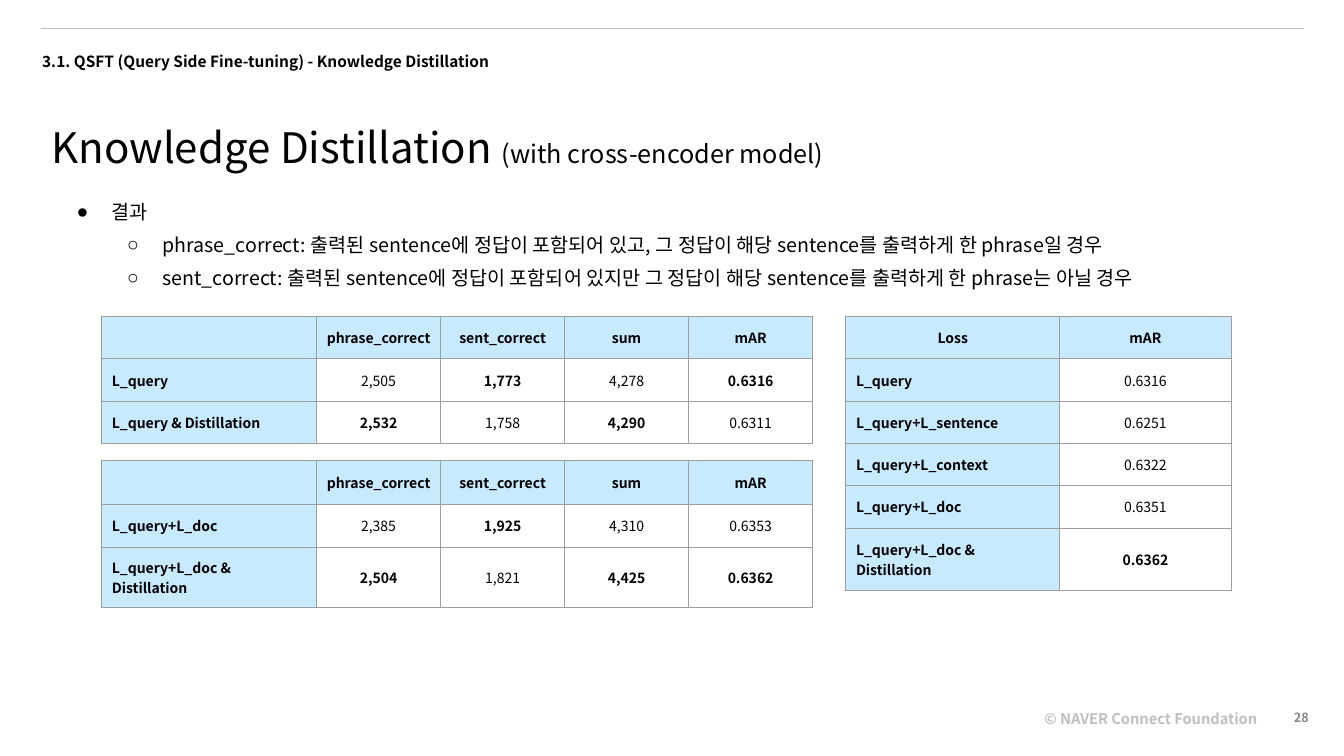
import lxml.etree
import pptx
import pptx.dml.color
import pptx.enum.shapes
import pptx.enum.text
import pptx.oxml.ns
import pptx.util

Inches = pptx.util.Inches
RGBColor = pptx.dml.color.RGBColor
PP_ALIGN = pptx.enum.text.PP_ALIGN
ANCHOR = pptx.enum.text.MSO_ANCHOR
qn = pptx.oxml.ns.qn

BLACK = RGBColor(0x00, 0x00, 0x00)
RULE_GRAY = RGBColor(0xBF, 0xBF, 0xBF)
NUMBER_GRAY = RGBColor(0x88, 0x88, 0x88)
BORDER_GRAY = RGBColor(0x9E, 0x9E, 0x9E)
HEADER_BLUE = RGBColor(0xC8, 0xEA, 0xFF)
FONT = "Noto Sans CJK KR"


def add_run(paragraph, text, size, color=BLACK, bold=False):
    run = paragraph.add_run()
    run.text = text
    for key, value in {"size": pptx.util.Pt(size), "bold": bold, "name": FONT}.items():
        setattr(run.font, key, value)
    run.font.color.rgb = color
    lxml.etree.SubElement(run.font._element, qn("a:ea"), typeface=FONT)


def set_frame(shape, box, inset=0.05, anchor=ANCHOR.TOP):
    shape.left, shape.top, shape.width, shape.height = [Inches(v) for v in box]
    frame = shape.text_frame
    settings = {
        "word_wrap": True,
        "auto_size": pptx.enum.text.MSO_AUTO_SIZE.NONE,
        "vertical_anchor": anchor,
        "margin_left": Inches(0.1),
        "margin_right": Inches(0.1),
        "margin_top": Inches(inset),
        "margin_bottom": Inches(inset),
    }
    for key, value in settings.items():
        setattr(frame, key, value)
    return frame


deck = pptx.Presentation()
deck.slide_width = Inches(13.33)
deck.slide_height = Inches(7.5)
slide = deck.slides.add_slide(deck.slide_layouts[1])

top_rule = slide.shapes.add_connector(
    pptx.enum.shapes.MSO_CONNECTOR.STRAIGHT,
    Inches(0.41), Inches(0.28), Inches(12.93), Inches(0.28))
top_rule.line.color.rgb = RULE_GRAY
top_rule.line.width = pptx.util.Pt(0.75)
lxml.etree.SubElement(top_rule._element.spPr, qn("a:effectLst"))

small_texts = [
    ("© NAVER Connect Foundation", (10.26, 6.98, 2.39, 0.28), 10.5, RULE_GRAY,
     PP_ALIGN.LEFT, 1.1, ANCHOR.TOP),
    ("28", (12.2, 6.92, 0.88, 0.4), 9, NUMBER_GRAY, PP_ALIGN.RIGHT, 1.0, ANCHOR.MIDDLE),
    ("3.1. QSFT (Query Side Fine-tuning) - Knowledge Distillation",
     (0.32, 0.3, 6.9, 0.29), 11, BLACK, PP_ALIGN.LEFT, 1.91, ANCHOR.TOP),
]
for text, box, size, color, align, spacing, anchor in small_texts:
    frame = set_frame(slide.shapes.add_textbox(0, 0, 0, 0), box, anchor=anchor)
    paragraph = frame.paragraphs[0]
    paragraph.alignment = align
    paragraph.line_spacing = spacing
    add_run(paragraph, text, size, color, True)

heading = set_frame(slide.shapes.title, (0.41, 0.97, 11.69, 0.61)).paragraphs[0]
heading.alignment = PP_ALIGN.LEFT
heading.line_spacing = 1.38
add_run(heading, "Knowledge Distillation ", 30)
add_run(heading, "(with cross-encoder model)", 18)

findings = [
    (0, "●", "결과"),
    (1, "○", "phrase_correct: 출력된 sentence에 정답이 포함되어 있고, 그 정답이 해당 sentence를 출력하게 한 phrase일 경우"),
    (1, "○", "sent_correct: 출력된 sentence에 정답이 포함되어 있지만 그 정답이 해당 sentence를 출력하게 한 phrase는 아닐 경우"),
]
body = set_frame(slide.placeholders[1], (0.51, 1.79, 12.26, 1.22), inset=0.1)
for index, (level, bullet, text) in enumerate(findings):
    paragraph = body.add_paragraph() if index else body.paragraphs[0]
    paragraph.level = level
    paragraph.line_spacing = 1.4
    paragraph.space_before = pptx.util.Pt(0)
    properties = paragraph._p.get_or_add_pPr()
    properties.set("marL", str(Inches(0.5 * (level + 1))))
    properties.set("indent", str(Inches(-0.35)))
    bullet_color = lxml.etree.SubElement(properties, qn("a:buClr"))
    lxml.etree.SubElement(bullet_color, qn("a:srgbClr"), val=str(BLACK))
    lxml.etree.SubElement(properties, qn("a:buChar"), char=bullet)
    add_run(paragraph, text, 14)

count_header = ["", "phrase_correct", "sent_correct", "sum", "mAR"]
count_widths = [2.13] + [1.23] * 4
results = [
    (1.01, 3.14, count_widths, [0.42] * 3, [
        count_header,
        ["L_query", "2,505", "1,773", "4,278", "0.6316"],
        ["L_query & Distillation", "2,532", "1,758", "4,290", "0.6311"],
    ]),
    (1.01, 4.57, count_widths, [0.43] * 3, [
        count_header,
        ["L_query+L_doc", "2,385", "1,925", "4,310", "0.6353"],
        ["L_query+L_doc & Distillation", "2,504", "1,821", "4,425", "0.6362"],
    ]),
    (8.39, 3.14, [2.12, 1.7], [0.42] * 5 + [0.62], [
        ["Loss", "mAR"],
        ["L_query", "0.6316"],
        ["L_query+L_sentence", "0.6251"],
        ["L_query+L_context", "0.6322"],
        ["L_query+L_doc", "0.6351"],
        ["L_query+L_doc & Distillation", "0.6362"],
    ]),
]
for left, top, widths, heights, rows in results:
    table = slide.shapes.add_table(
        len(rows), len(widths), Inches(left), Inches(top),
        Inches(sum(widths)), Inches(sum(heights))).table
    table.first_row = table.horz_banding = False
    for column, width in zip(table.columns, widths):
        column.width = Inches(width)
    for row, height in zip(table.rows, heights):
        row.height = Inches(height)
    best = [max(column[1:]) for column in zip(*rows)]
    for r, values in enumerate(rows):
        for c, text in enumerate(values):
            cell = table.cell(r, c)
            cell.vertical_anchor = ANCHOR.MIDDLE
            for side in ("left", "right", "top", "bottom"):
                setattr(cell, "margin_" + side, Inches(0.1))
            is_label = r == 0 or c == 0
            if is_label:
                cell.fill.solid()
                cell.fill.fore_color.rgb = HEADER_BLUE
            else:
                cell.fill.background()
            paragraph = cell.text_frame.paragraphs[0]
            paragraph.alignment = PP_ALIGN.LEFT if c == 0 and r else PP_ALIGN.CENTER
            if text:
                add_run(paragraph, text, 10, bold=is_label or text == best[c])
            else:
                lxml.etree.SubElement(paragraph._p, qn("a:endParaRPr"), sz="1000")
            if c == 0 and r == 0 and text:
                paragraph.alignment = PP_ALIGN.CENTER
            cell_properties = cell._tc.get_or_add_tcPr()
            for position, tag in enumerate(("a:lnL", "a:lnR", "a:lnT", "a:lnB")):
                border = lxml.etree.Element(qn(tag), w=str(pptx.util.Pt(0.75)))
                border_fill = lxml.etree.SubElement(border, qn("a:solidFill"))
                lxml.etree.SubElement(border_fill, qn("a:srgbClr"), val=str(BORDER_GRAY))
                cell_properties.insert(position, border)

deck.save("out.pptx")
